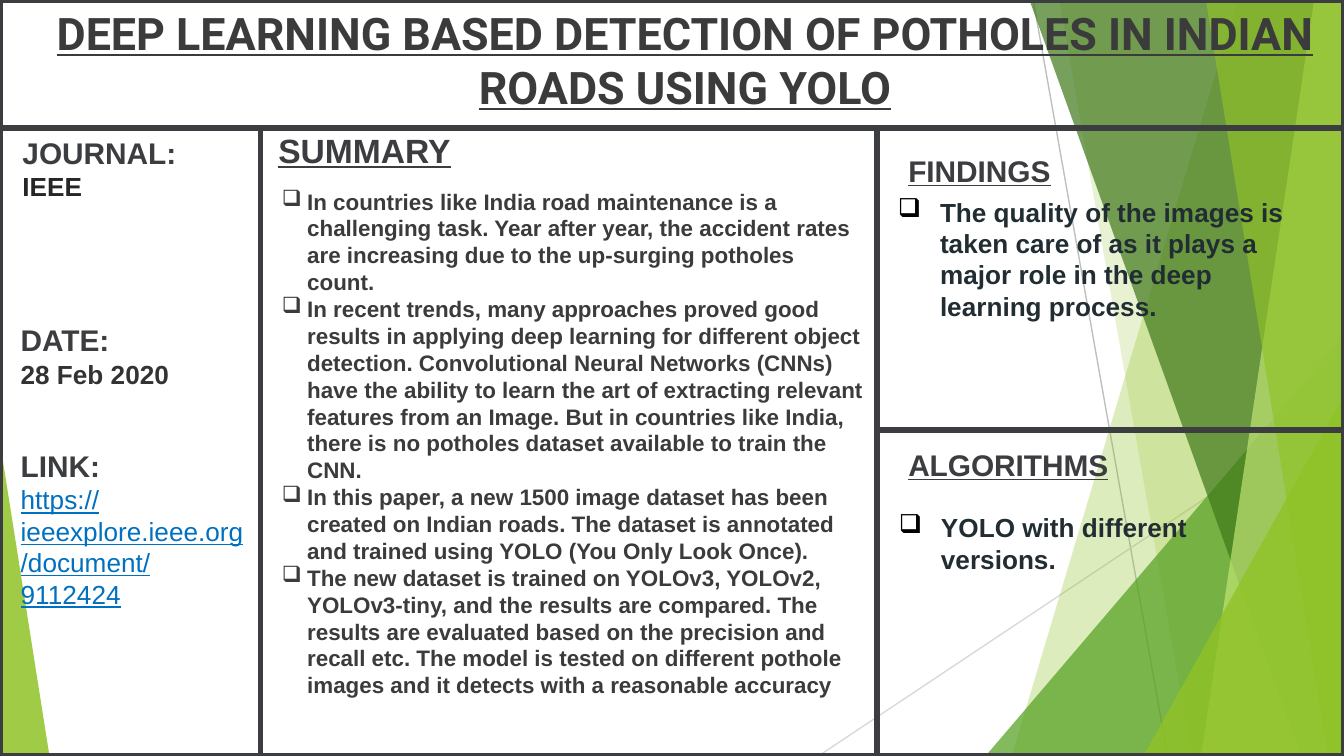
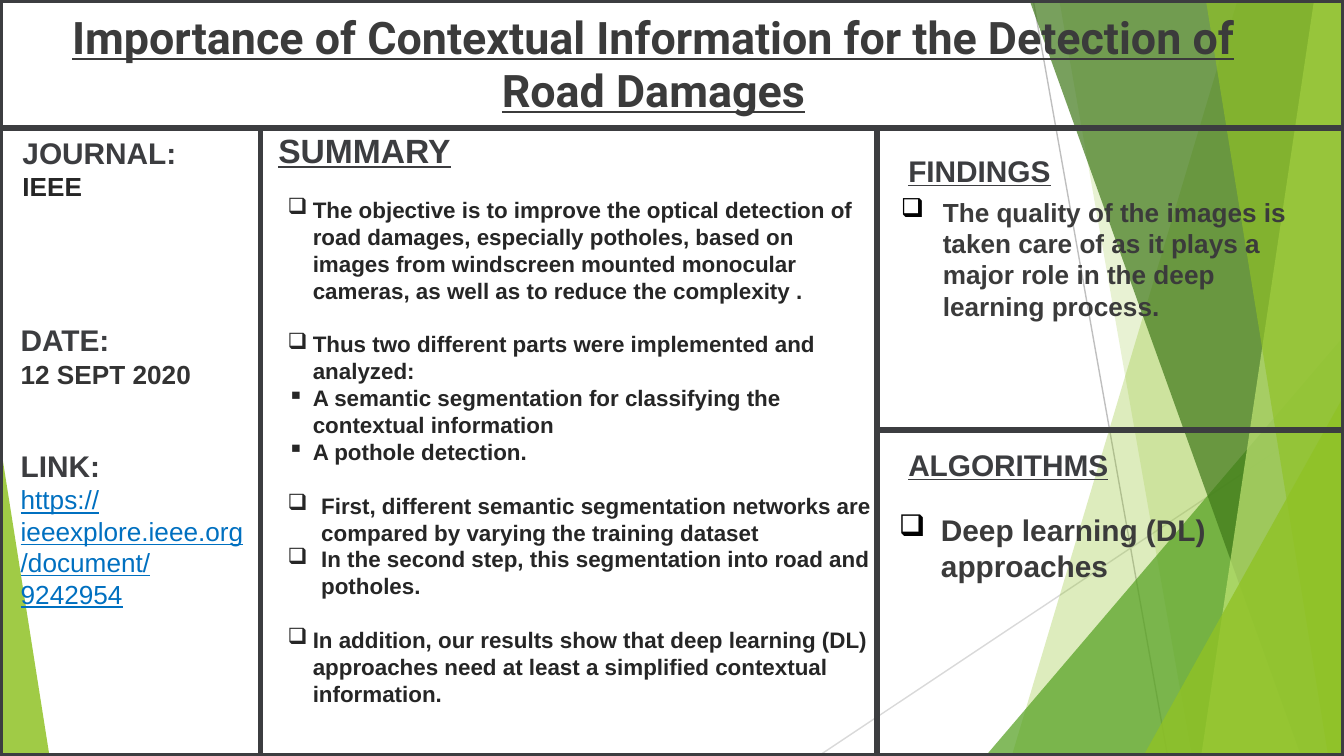
from lxml import etree
from pptx import Presentation
from pptx.dml.color import RGBColor
from pptx.enum.shapes import MSO_CONNECTOR, MSO_SHAPE
from pptx.enum.text import MSO_ANCHOR, MSO_AUTO_SIZE, PP_ALIGN
from pptx.oxml.ns import qn
from pptx.util import Pt

WIDTH, HEIGHT = 720, 405
FRAME, INK, DARK, BLACK = "3C3D40", "3B3B3B", "262626", "000000"
LINK_BLUE, LIME = "0070C0", "90C226"
LEFT_RULE, TITLE_RULE, RIGHT_RULE, FINDINGS_RULE = 139.5, 68.5, 470, 230.5
BLANK_LINE = 14.4
SQUARE, SMALL_SQUARE = "❑", "▪"


def colour(value):
    return RGBColor.from_string(value)


class Poster:
    """Holds the shared style and the slide being drawn."""

    def __init__(self):
        self.deck = Presentation()
        self.deck.slide_width, self.deck.slide_height = Pt(WIDTH), Pt(HEIGHT)
        self.page = None

    def new_page(self):
        self.page = self.deck.slides.add_slide(self.deck.slide_layouts[6])

    def line(self, start, end, tint=FRAME, width=3):
        points = [Pt(value) for value in (*start, *end)]
        rule = self.page.shapes.add_connector(MSO_CONNECTOR.STRAIGHT, *points)
        rule.line.color.rgb = colour(tint)
        rule.line.width = Pt(width)
        etree.SubElement(rule._element.spPr, qn("a:effectLst"))

    def paint(self, shape, tint, opacity):
        shape.shadow.inherit = False
        shape.line.fill.background()
        shape.fill.solid()
        shape.fill.fore_color.rgb = colour(tint)
        srgb = shape._element.spPr.find(".//" + qn("a:srgbClr"))
        etree.SubElement(srgb, qn("a:alpha"), val=str(opacity * 1000))

    def polygon(self, points, tint, opacity):
        first, *others = [(Pt(x), Pt(y)) for x, y in points]
        builder = self.page.shapes.build_freeform(*first, scale=1.0)
        builder.add_line_segments(others, close=True)
        self.paint(builder.convert_to_shape(), tint, opacity)

    def triangle(self, area, tip, tint, opacity):
        shape = self.page.shapes.add_shape(MSO_SHAPE.ISOSCELES_TRIANGLE, *map(Pt, area))
        shape.adjustments[0] = tip
        self.paint(shape, tint, opacity)

    def frame(self):
        border = self.page.shapes.add_shape(MSO_SHAPE.RECTANGLE, 0, 0, Pt(WIDTH), Pt(HEIGHT))
        border.shadow.inherit = False
        border.fill.background()
        border.line.color.rgb = colour(FRAME)
        border.line.width = Pt(3)

    def text(self, area, paragraphs, inset=(7.2, 3.6), grow=True):
        box = self.page.shapes.add_textbox(*map(Pt, area))
        across, down = map(Pt, inset)
        settings = {
            "word_wrap": True,
            "vertical_anchor": MSO_ANCHOR.TOP,
            "auto_size": MSO_AUTO_SIZE.SHAPE_TO_FIT_TEXT if grow else MSO_AUTO_SIZE.NONE,
            "margin_left": across, "margin_right": across,
            "margin_top": down, "margin_bottom": down,
        }
        for name, value in settings.items():
            setattr(box.text_frame, name, value)
        for index, item in enumerate(paragraphs):
            para = box.text_frame.paragraphs[0] if index == 0 else box.text_frame.add_paragraph()
            self.fill_paragraph(para, **item)

    def fill_paragraph(self, para, words, size, tint, bold=True, underline=False, font="Arial",
                       align=PP_ALIGN.LEFT, gap=0, bullet=None, indent=0, bullet_tint=None):
        layout = {"alignment": align, "line_spacing": 1.0,
                  "space_before": Pt(gap), "space_after": Pt(0)}
        for name, value in layout.items():
            setattr(para, name, value)
        if bullet:
            properties = para._p.get_or_add_pPr()
            properties.set("marL", str(Pt(indent)))
            properties.set("indent", str(-Pt(indent)))
            if bullet_tint:
                holder = etree.SubElement(properties, qn("a:buClr"))
                etree.SubElement(holder, qn("a:srgbClr"), val=bullet_tint)
            etree.SubElement(properties, qn("a:buChar"), char=bullet)
        span = para.add_run()
        span.text = words
        style = {"name": font, "size": Pt(size), "bold": bold, "underline": underline}
        for name, value in style.items():
            setattr(span.font, name, value)
        span.font.color.rgb = colour(tint)

    def backdrop(self):
        self.line((553.5, 0), (625.5, HEIGHT), "BFBFBF", 0.75)
        self.line((WIDTH, 217.5), (438.5, HEIGHT), "D9D9D9", 0.75)
        self.shard(663, 542, LIME, 30)
        self.shard(567.5, 638.5, LIME, 20)
        self.triangle((528, 180, 192, 225), 1, "54A021", 72)
        self.shard(551.5, 697, "3F7819", 70)
        self.shard(704, 643.5, "C0E474", 70)
        self.shard(646, 711.5, LIME, 65)
        self.triangle((612.5, 212, 107.5, 193), 1, LIME, 80)
        self.triangle((0, 237, 26.5, 168), 0, LIME, 85)

    def shard(self, top_x, bottom_x, tint, opacity):
        corners = [(top_x, 0), (WIDTH, 0), (WIDTH, HEIGHT), (bottom_x, HEIGHT)]
        self.polygon(corners, tint, opacity)

    def title(self, area, words):
        heading = dict(words=words, size=24, tint=INK, underline=True,
                       font="Roboto", align=PP_ALIGN.CENTER)
        self.text(area, [heading], inset=(5, 3), grow=False)

    def fact(self, area, label, words, **style):
        self.text(area, [dict(words=label, size=16, tint=FRAME),
                         dict(words=words, size=14, **style)])

    def heading(self, area, words, size=16):
        self.text(area, [dict(words=words, size=size, tint=FRAME, underline=True)])

    def point(self, area, words, tint, size=14):
        self.text(area, [dict(words=words, size=size, tint=tint, bullet=SQUARE,
                              indent=22.5, bullet_tint=BLACK)])

    def summary(self, area, tint, items):
        self.text(area, [dict({"size": 12, "tint": tint, "bullet": SQUARE, "indent": 13.5}, **item)
                         for item in items])

    def paper(self, title, date, link, summary, findings, algorithms):
        self.new_page()
        self.backdrop()
        # Grid of the sheet
        self.frame()
        self.line((LEFT_RULE, TITLE_RULE), (LEFT_RULE, HEIGHT))
        self.line((0, TITLE_RULE), (WIDTH, TITLE_RULE))
        self.line((RIGHT_RULE, TITLE_RULE), (RIGHT_RULE, HEIGHT))
        self.line((RIGHT_RULE, FINDINGS_RULE), (WIDTH, FINDINGS_RULE))
        # Title and publication facts
        self.title(*title)
        self.fact((5, 68.5, 127.5, 44), "JOURNAL:", "IEEE", tint=DARK)
        self.fact((4, 169, 116, 67.5), "DATE:", date, tint="333333")
        self.fact((4, 236.5, 137, 78), "LINK:", link, tint=LINK_BLUE, bold=False, underline=True)
        # Summary, findings and algorithms
        self.heading((142, 66, 178, 29), "SUMMARY", 18)
        self.heading((479.5, 78, 101, 26.5), "FINDINGS")
        self.heading((479.5, 235.5, 127.5, 26.5), "ALGORITHMS")
        self.summary(*summary)
        self.point(*findings)
        self.point(*algorithms)


def main():
    poster = Poster()
    quality = ("The quality of the images is taken care of as it plays a major role "
               "in the deep learning process.")

    # Pothole detection with YOLO
    poster.paper(
        title=((19.5, 0, 695, 68.5),
               "DEEP LEARNING BASED DETECTION OF POTHOLES IN INDIAN ROADS USING YOLO"),
        date="28 Feb 2020",
        link="https://ieeexplore.ieee.org/document/9112424",
        summary=((144, 97, 327, 312.5), INK, [
            dict(words="In countries like India road maintenance is a challenging task. Year after "
                       "year, the accident rates are increasing due to the up-surging potholes count."),
            dict(words="In recent trends, many approaches proved good results in applying deep "
                       "learning for different object detection. Convolutional Neural Networks "
                       "(CNNs) have the ability to learn the art of extracting relevant features "
                       "from an Image. But in countries like India, there is no potholes dataset "
                       "available to train the CNN."),
            dict(words="In this paper, a new 1500 image dataset has been created on Indian roads. "
                       "The dataset is annotated and trained using YOLO (You Only Look Once)."),
            dict(words="The new dataset is trained on YOLOv3, YOLOv2, YOLOv3-tiny, and the results "
                       "are compared. The results are evaluated based on the precision and recall "
                       "etc. The model is tested on different pothole images and it detects with a "
                       "reasonable accuracy"),
        ]),
        findings=((474, 101.5, 227, 75), quality, "212D32"),
        algorithms=((474.5, 270.5, 219.5, 41), "YOLO with different versions.", "212D32"),
    )

    # Contextual information for road damages
    poster.paper(
        title=((6, 2, 688, 58),
               "Importance of Contextual Information for the Detection of Road Damages"),
        date="12 SEPT 2020",
        link="https://ieeexplore.ieee.org/document/9242954",
        summary=((147, 101.5, 327, 298), DARK, [
            dict(words="The objective is to improve the optical detection of road damages, "
                       "especially potholes, based on images from windscreen mounted monocular "
                       "cameras, as well as to reduce the complexity ."),
            dict(words="Thus two different parts were implemented and analyzed:", gap=BLANK_LINE),
            dict(words="A semantic segmentation for classifying the contextual information",
                 bullet=SMALL_SQUARE),
            dict(words="A pothole detection.", bullet=SMALL_SQUARE),
            dict(words="First, different semantic segmentation networks are compared by varying "
                       "the training dataset", gap=BLANK_LINE, indent=18),
            dict(words="In the second step, this segmentation into road and potholes.", indent=18),
            dict(words="In addition, our results show that deep learning (DL) approaches need at "
                       "least a simplified contextual information.", gap=BLANK_LINE),
        ]),
        findings=((475.5, 101.5, 227, 75), quality, INK),
        algorithms=((474.5, 270.5, 219.5, 46), "Deep learning (DL) approaches", INK, 16),
    )
    poster.deck.save("out.pptx")


if __name__ == "__main__":
    main()
